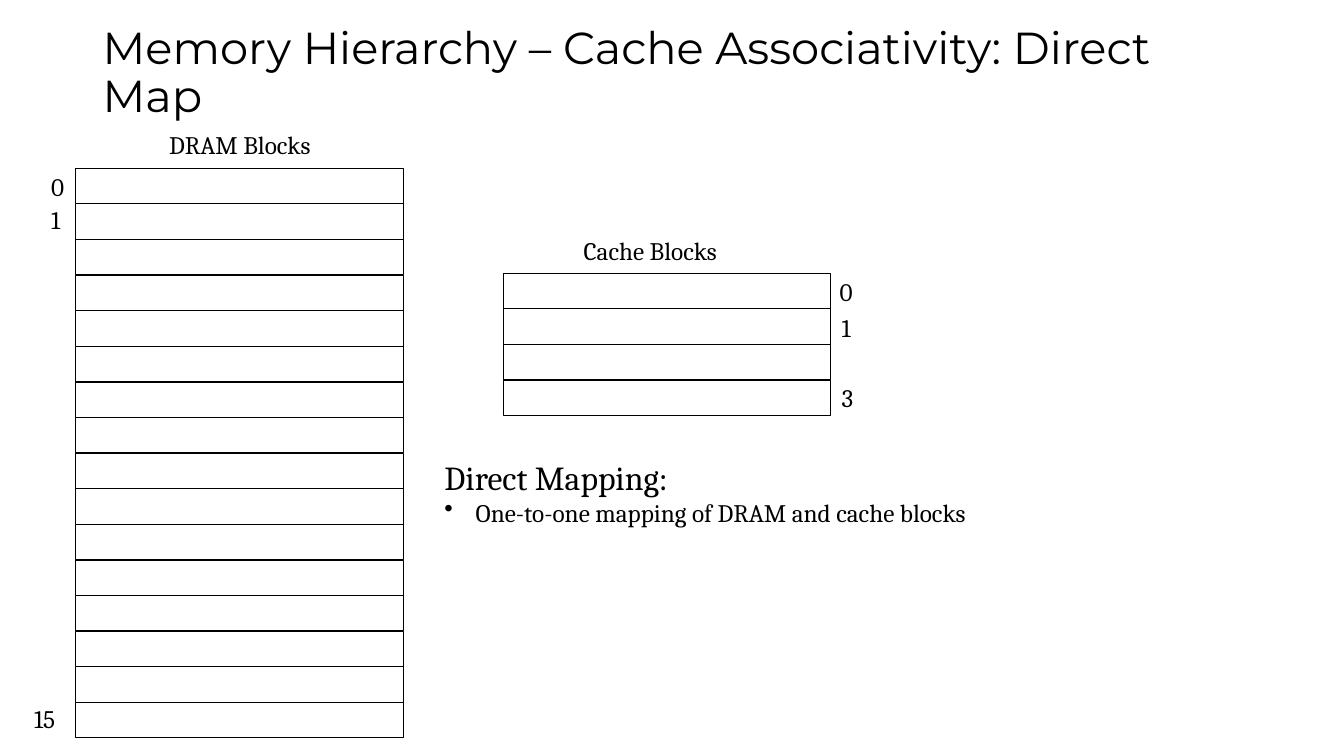
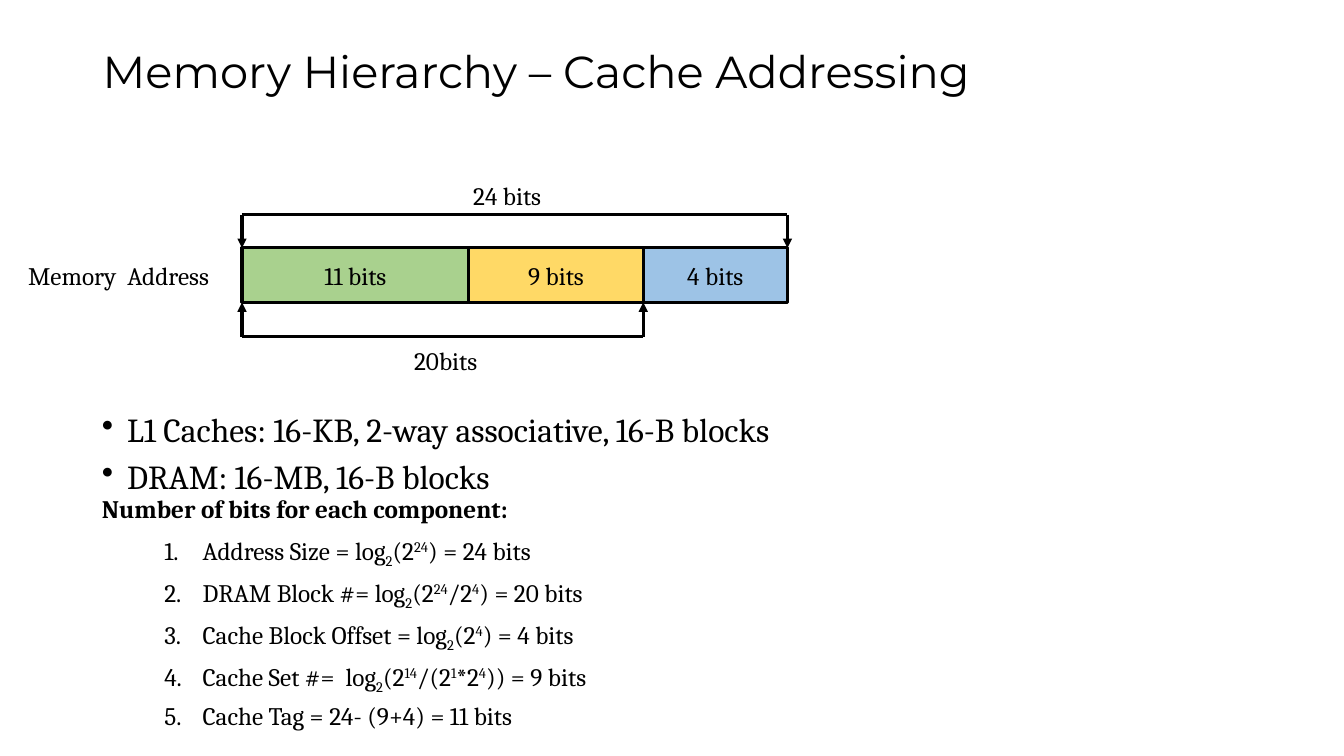
from lxml import etree
from pptx import Presentation
from pptx.dml.color import RGBColor
from pptx.enum.shapes import MSO_CONNECTOR, MSO_SHAPE
from pptx.enum.text import MSO_ANCHOR, MSO_AUTO_SIZE, PP_ALIGN
from pptx.oxml.ns import qn
from pptx.util import Inches, Pt

RECT = MSO_SHAPE.RECTANGLE
STRAIGHT = MSO_CONNECTOR.STRAIGHT
MIDDLE, TOP = MSO_ANCHOR.MIDDLE, MSO_ANCHOR.TOP
LEFT, CENTER = PP_ALIGN.LEFT, PP_ALIGN.CENTER
GROW, FIXED = MSO_AUTO_SIZE.SHAPE_TO_FIT_TEXT, MSO_AUTO_SIZE.NONE

COLORS = {"ink": "000000", "tag": "A9D18E", "set": "FFD966", "offset": "9DC3E6"}
BASELINES = {"_": "-25000", "^": "30000"}


def rgb(name):
    return RGBColor.from_string(COLORS[name])


def write(tf, text, size=18, font="Cambria", color="ink", bold=False, align=LEFT,
          spacing=None, before=0, indent=None, bullet=None, number=None):
    p = tf.add_paragraph() if tf.paragraphs[0].runs else tf.paragraphs[0]
    p.alignment = align
    p.space_before = Pt(before)
    if spacing:
        p.line_spacing = spacing
    for part in text.split("|"):
        r = p.add_run()
        r.text = part.lstrip("_^")
        r.font.size, r.font.name, r.font.bold = Pt(size), font, bold
        r.font.color.rgb = rgb(color)
        if part[0] in BASELINES:
            r._r.get_or_add_rPr().set("baseline", BASELINES[part[0]])
    pPr = p._p.get_or_add_pPr()
    if indent:
        pPr.set("marL", str(Inches(indent[0])))
        pPr.set("indent", str(Inches(indent[1])))
    if bullet:
        etree.SubElement(pPr, qn("a:buChar")).set("char", bullet)
    if number:
        etree.SubElement(pPr, qn("a:buAutoNum")).set("type", number)


class Deck:
    def __init__(self):
        self.prs = Presentation()
        self.prs.slide_width, self.prs.slide_height = Inches(13.33), Inches(7.5)
        self.s = None

    def slide(self, title):
        self.s = self.prs.slides.add_slide(self.prs.slide_layouts[6])
        tf = self.frame(0.92, 0.4, 11.5, 0.67, anchor=MIDDLE)
        write(tf, title, size=32, font="Montserrat", spacing=0.9)

    def frame(self, x, y, w, h, inset=None, wrap=True, grow=False, anchor=TOP):
        sp = self.s.shapes.add_textbox(Inches(x), Inches(y), Inches(w), Inches(h))
        tf = sp.text_frame
        tf.word_wrap = wrap
        tf.auto_size = GROW if grow else FIXED
        tf.vertical_anchor = anchor
        if inset is not None:
            self.pad(tf, inset)
        return tf

    def pad(self, tf, inset):
        tf.margin_left = tf.margin_right = Inches(inset)
        tf.margin_top = tf.margin_bottom = Inches(inset)

    def label(self, text, x, y, w, h=0.4, wrap=True):
        write(self.frame(x, y, w, h, wrap=wrap, grow=True), text)

    def box(self, x, y, w, h, text=None, fill=None, weight=0.75):
        sp = self.s.shapes.add_shape(RECT, Inches(x), Inches(y), Inches(w), Inches(h))
        sp.shadow.inherit = False
        sp.line.color.rgb = rgb("ink")
        sp.line.width = Pt(weight)
        if fill:
            sp.fill.solid()
            sp.fill.fore_color.rgb = rgb(fill)
        else:
            sp.fill.background()
        if text:
            tf = sp.text_frame
            tf.vertical_anchor = MIDDLE
            self.pad(tf, 0.1)
            write(tf, text, align=CENTER)

    def blocks(self, x, first, last, count):
        pitch = (last - first) / (count - 1)
        for i in range(count):
            self.box(x, first + i * pitch, 3.25, 0.35)

    def line(self, x1, y1, x2, y2, arrow=False):
        c = self.s.shapes.add_connector(
            STRAIGHT, Inches(x1), Inches(y1), Inches(x2), Inches(y2))
        c.line.color.rgb = rgb("ink")
        c.line.width = Pt(2.25)
        if arrow:
            ln = c.line._get_or_add_ln()
            etree.SubElement(ln, qn("a:tailEnd")).set("type", "triangle")
        etree.SubElement(c._element.spPr, qn("a:effectLst"))

    def bracket(self, left, right, y, edge):
        self.line(left, y, right, y)
        for x in (left, right):
            self.line(x, y, x, edge, arrow=True)


def direct_map(deck):
    deck.slide("Memory Hierarchy – Cache Associativity: Direct Map")
    deck.blocks(0.75, 1.67, 6.97, 16)
    deck.blocks(4.99, 2.71, 3.77, 4)
    deck.label("DRAM Blocks", 1.58, 1.23, 1.66, wrap=False)
    deck.label("Cache Blocks", 5.69, 2.29, 1.61, wrap=False)
    for text, x, y, w in (("0", 0.41, 1.65, 0.34), ("1", 0.41, 1.98, 0.34),
                          ("15", 0.24, 6.93, 0.5), ("0", 8.23, 2.69, 0.34),
                          ("1", 8.25, 3.05, 0.34), ("3", 8.25, 3.74, 0.34)):
        deck.label(text, x, y, w)
    tf = deck.frame(4.31, 4.48, 5.62, 0.81, wrap=False, grow=True)
    write(tf, "Direct Mapping:", size=24)
    write(tf, "One-to-one mapping of DRAM and cache blocks",
          indent=(0.31, -0.31), bullet="•")


def cache_addressing(deck):
    deck.slide("Memory Hierarchy – Cache Addressing")
    tf = deck.frame(0.94, 4.03, 8.84, 3.21, inset=0.07)
    for text in ("L1 Caches: 16-KB, 2-way associative, 16-B blocks",
                 "DRAM: 16-MB, 16-B blocks"):
        write(tf, text, size=24, spacing=0.9, before=8,
              indent=(0.25, -0.25), bullet="•")
    write(tf, "Number of bits for each component:", bold=True, spacing=0.9,
          indent=(0.25, -0.25))
    for text in ("Address Size = log|_2|(2|^24|) = 24 bits",
                 "DRAM Block #= log|_2|(2|^24|/2|^4|) = 20 bits",
                 "Cache Block Offset = log|_2|(2|^4|) = 4 bits",
                 "Cache Set #=  log|_2|(2|^14|/(2|^1|*2|^4|)) = 9 bits",
                 "Cache Tag = 24- (9+4) = 11 bits"):
        write(tf, text, spacing=0.9, before=8, indent=(1, -0.38),
              number="arabicPeriod")

    top, height = 2.46, 0.54
    edges = [2.4]
    for text, width, fill in (("11 bits", 2.25, "tag"), ("9 bits", 1.73, "set"),
                              ("4 bits", 1.43, "offset")):
        deck.box(edges[-1], top, width, height, text, fill, weight=2.25)
        edges.append(edges[-1] + width)

    for text, x, y, w, h, fmt in (
            ("Memory  Address", 0.18, 2.48, 2.19, 0.49, {}),
            ("20bits", 2.43, 3.33, 3.98, 0.41, {"align": CENTER}),
            ("24 bits", 2.39, 1.79, 5.28, 0.33, {"align": CENTER, "spacing": 0.6})):
        write(deck.frame(x, y, w, h, inset=0.1), text, **fmt)

    deck.bracket(edges[0], edges[3], 2.13, top)
    deck.bracket(edges[0], edges[2], 3.34, top + height)


def main():
    deck = Deck()
    direct_map(deck)
    cache_addressing(deck)
    deck.prs.save("out.pptx")


if __name__ == "__main__":
    main()
